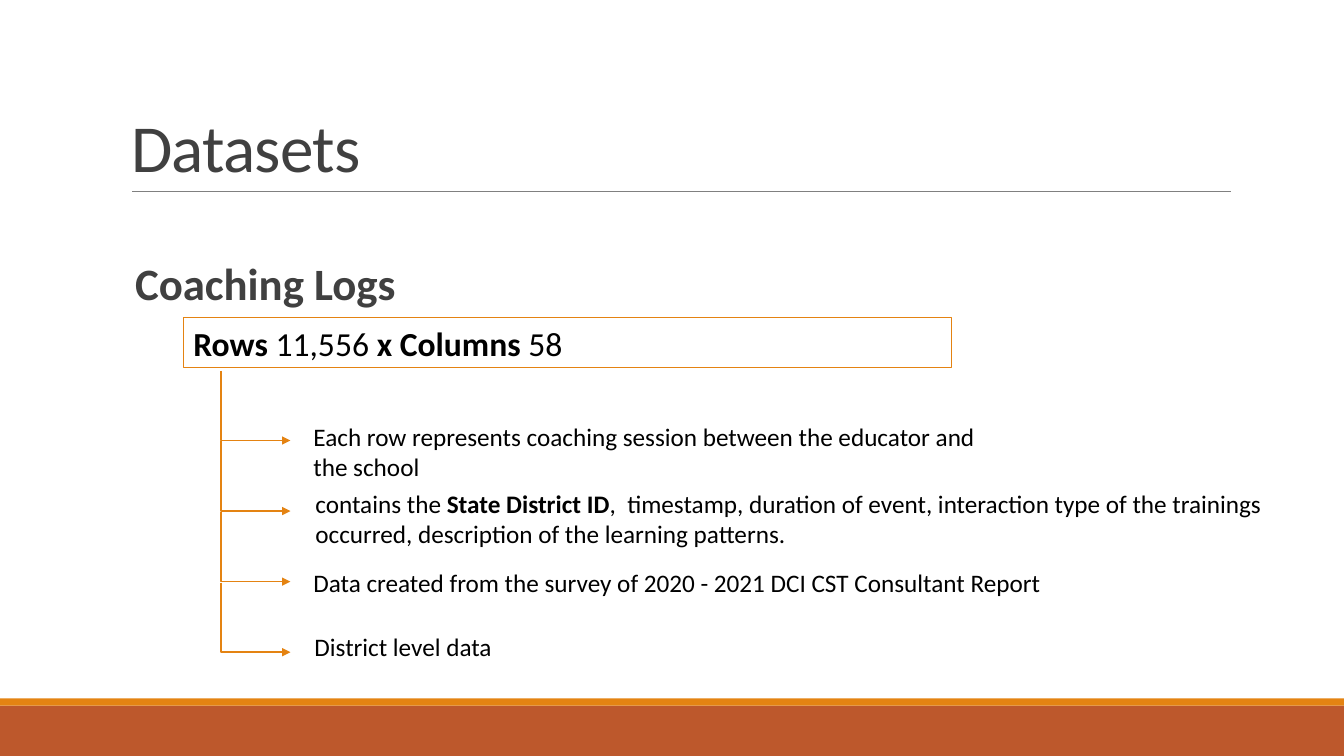
import pptx
import pptx.util
import pptx.dml.color
import pptx.enum.shapes
import pptx.enum.text
import pptx.oxml
import pptx.oxml.ns

Inches = pptx.util.Inches
Pt = pptx.util.Pt
ANCHOR = pptx.enum.text.MSO_ANCHOR
RECTANGLE = pptx.enum.shapes.MSO_SHAPE.RECTANGLE
CONNECTOR = pptx.enum.shapes.MSO_CONNECTOR

COLORS = {"rust": "BD582C", "orange": "E48312", "rule": "808080", "heading": "404040", "text": "000000"}
FONT = "Calibri"

TITLE = [("Datasets", False)]
HEADING = [("Coaching Logs", True)]
DIMENSIONS = [("Rows ", True), ("11,556", False), (" x Columns ", True), ("58", False)]
DETAILS = [
    ((3.01, 4.13, 7.11, 0.71),
     [("Each row represents coaching session between the educator and the school", False)]),
    ((3.03, 4.79, 9.9, 0.81),
     [("contains the ", False), ("State District ID", True),
      (",  timestamp, duration of event, interaction type of the trainings occurred, "
       "description of the learning patterns.", False)]),
    ((3.01, 5.58, 9.36, 0.4),
     [("Data created from the survey of 2020 - 2021 DCI CST Consultant Report", False)]),
    ((3.02, 6.21, 4.35, 0.4), [("District level data", False)]),
]
BANDS = [(7, 0.5, "rust"), (6.93, 0.07, "orange")]
ARROW_LEFT, ARROW_TOP, ARROW_SIZE, ARROW_PITCH = 2.19, 3.68, 0.69, 0.7


def color(name):
    return pptx.dml.color.RGBColor.from_string(COLORS[name])


def write(shape, runs, size, color_name, anchor=ANCHOR.TOP, line_spacing=1.0):
    frame = shape.text_frame
    frame.word_wrap = True
    frame.auto_size = pptx.enum.text.MSO_AUTO_SIZE.NONE
    frame.vertical_anchor = anchor
    paragraph = frame.paragraphs[0]
    paragraph.alignment = pptx.enum.text.PP_ALIGN.LEFT
    paragraph.line_spacing = line_spacing
    for text, bold in runs:
        run = paragraph.add_run()
        run.text = text
        run.font.name = FONT
        run.font.size = Pt(size)
        run.font.bold = bold
        run.font.color.rgb = color(color_name)
    return frame


def add_box(box):
    shape = slide.shapes.add_shape(RECTANGLE, *map(Inches, box))
    shape.shadow.inherit = False
    return shape


def add_line(kind, start, end, color_name, width):
    line = slide.shapes.add_connector(kind, *map(Inches, start + end))
    line.line.color.rgb = color(color_name)
    line.line.width = Pt(width)
    pptx.oxml.ns.qn("a:effectLst")
    line._element.spPr.append(pptx.oxml.parse_xml(
        f'<a:effectLst {pptx.oxml.ns.nsdecls("a")}/>'))
    return line


def add_elbow_arrow(left, top):
    arrow = add_line(CONNECTOR.ELBOW, (left, top), (left + ARROW_SIZE, top + ARROW_SIZE), "orange", 1)
    namespace = pptx.oxml.ns.nsdecls("a")
    adjustments = arrow._element.spPr.find(pptx.oxml.ns.qn("a:prstGeom")).get_or_add_avLst()
    adjustments.append(pptx.oxml.parse_xml(f'<a:gd {namespace} name="adj1" fmla="val 0"/>'))
    arrow.line._get_or_add_ln().append(pptx.oxml.parse_xml(f'<a:tailEnd {namespace} type="triangle"/>'))


presentation = pptx.Presentation()
presentation.slide_width = Inches(13.33)
presentation.slide_height = Inches(7.5)
slide = presentation.slides.add_slide(presentation.slide_layouts[5])

for top, height, name in BANDS:
    band = add_box((0, top, 13.33, height))
    band.fill.solid()
    band.fill.fore_color.rgb = color(name)
    band.line.fill.background()
add_line(CONNECTOR.STRAIGHT, (1.31, 1.9), (12.21, 1.9), "rule", 0.5)

title = slide.shapes.title
title.left, title.top, title.width, title.height = map(Inches, (1.2, 0.31, 11, 1.59))
title_frame = write(title, TITLE, 48, "heading", ANCHOR.BOTTOM, 0.85)
title_frame.paragraphs[0].runs[0].font._element.set("spc", "-50")

heading = slide.shapes.add_textbox(*map(Inches, (1.34, 2.55, 8.77, 0.58)))
heading_frame = write(heading, HEADING, 32, "heading", line_spacing=0.9)
heading_frame.margin_left = heading_frame.margin_right = 0

dimensions = add_box((1.82, 3.15, 7.62, 0.5))
dimensions.fill.background()
dimensions.line.color.rgb = color("orange")
dimensions.line.width = Pt(0.75)
write(dimensions, DIMENSIONS, 24, "text")

for index, (box, runs) in enumerate(DETAILS):
    write(slide.shapes.add_textbox(*map(Inches, box)), runs, 18, "text")
    add_elbow_arrow(ARROW_LEFT, ARROW_TOP + index * ARROW_PITCH)

presentation.save("out.pptx")
